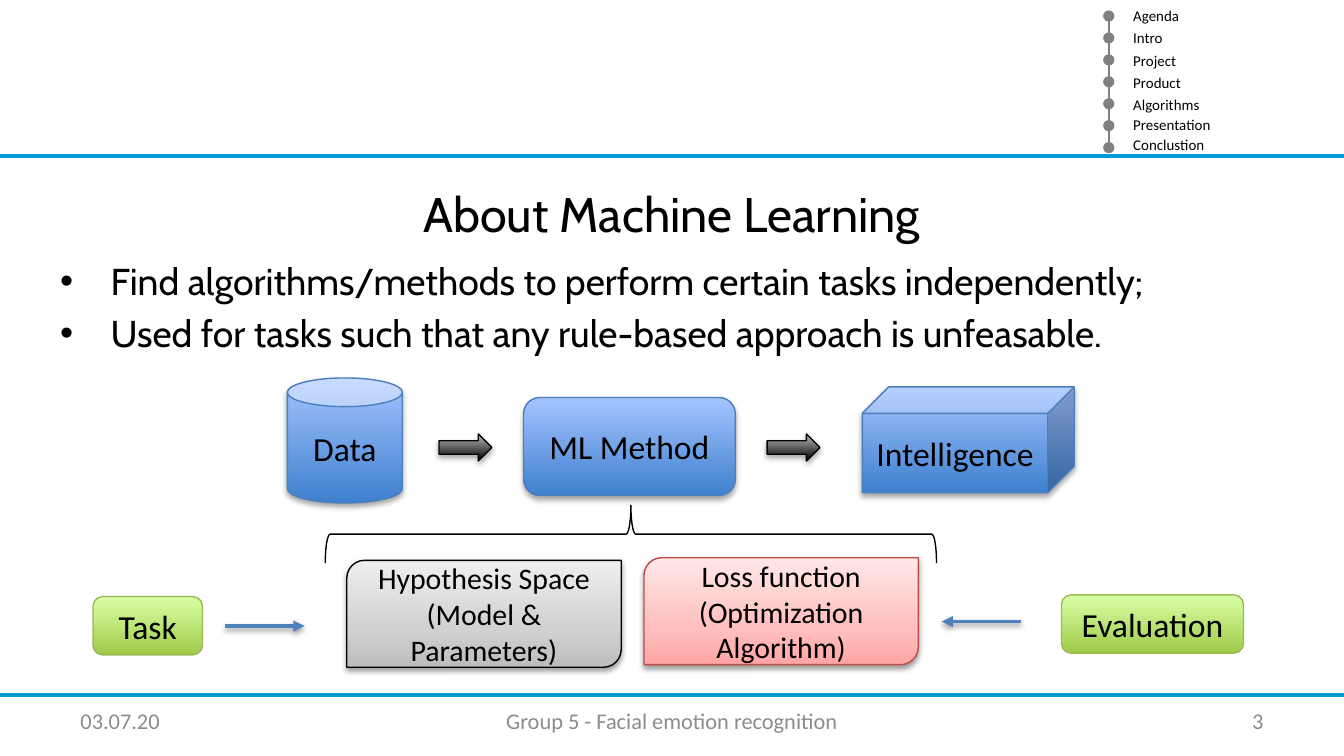
"""Build the slide about machine learning with its process diagram."""
from copy import deepcopy

from lxml.etree import SubElement
from pptx import Presentation
from pptx.dml.color import RGBColor
from pptx.enum.shapes import MSO_CONNECTOR as Connector, MSO_SHAPE as Shape
from pptx.enum.text import MSO_ANCHOR as Anchor, MSO_AUTO_SIZE as AutoSize, PP_ALIGN as Align
from pptx.oxml.ns import qn
from pptx.util import Pt

COLORS = {
    "black": "000000", "gray": "808080", "footer": "8C8C8C", "rule": "009CD1",
    "arrow": "4F81BD", "blue_line": "4B7EBC", "green_line": "98B955", "red_line": "BF4C48",
}
GRADIENTS = {
    "blue": [(0, "3F80CE"), (1, "A4C4FF")],
    "dark": [(0, "000000"), (1, "BDBDBD")],
    "green": [(0, "A0CA4A"), (1, "DAFFA5")],
    "gray": [(0, "BDBDBD"), (0.35, "D1D1D1"), (1, "EEEEEE")],
    "red": [(0, "FFA6A5"), (0.35, "FFC0BF"), (1, "FFE7E7")],
}


def color(name):
    return RGBColor.from_string(COLORS[name])


def write(frame, text, size=18, font="Calibri", ink="black", align=None, anchor=Anchor.MIDDLE):
    frame.word_wrap = True
    frame.auto_size = AutoSize.NONE
    frame.vertical_anchor = anchor
    frame.text = text
    for para in frame.paragraphs:
        para.alignment = align
        for span in para.runs:
            span.font.size = Pt(size)
            span.font.name = font
            span.font.color.rgb = color(ink)


class SlideBuilder:
    def __init__(self, slide):
        self.slide = slide
        self.shapes = slide.shapes

    def placeholder(self, item, place, text, **style):
        item.left, item.top, item.width, item.height = map(Pt, place)
        write(item.text_frame, text, font="Cabin", anchor=Anchor.TOP, **style)

    def label(self, place, text, **style):
        box = self.shapes.add_textbox(*map(Pt, place))
        write(box.text_frame, text, **style)

    def shadow(self, effects, opacity, distance):
        outer = SubElement(effects, qn("a:outerShdw"), blurRad=str(Pt(3.1)),
                           dist=str(Pt(distance)), dir="5400000", rotWithShape="0")
        tone = SubElement(outer, qn("a:srgbClr"), val=COLORS["black"])
        SubElement(tone, qn("a:alpha"), val=str(opacity * 1000))

    def line(self, start, end, ink, width, arrow=False):
        link = self.shapes.add_connector(Connector.STRAIGHT, *map(Pt, start + end))
        link.line.color.rgb = color(ink)
        link.line.width = Pt(width)
        properties = link._element.spPr
        effects = SubElement(properties, qn("a:effectLst"))
        if arrow:
            SubElement(properties.find(qn("a:ln")), qn("a:tailEnd"), type="triangle")
            self.shadow(effects, 38, 1.6)

    def dot(self, left, top, size):
        dot = self.shapes.add_shape(Shape.OVAL, *map(Pt, (left, top, size, size)))
        dot.shadow.inherit = False
        dot.fill.solid()
        dot.fill.fore_color.rgb = color("gray")
        dot.line.fill.background()

    def outline(self, kind, place, ink):
        shape = self.shapes.add_shape(kind, *map(Pt, place))
        shape.shadow.inherit = False
        shape.fill.background()
        shape.line.color.rgb = color(ink)
        shape.line.width = Pt(0.75)
        return shape

    def block(self, kind, place, gradient, ink, text="", size=18, shadow=None):
        shape = self.outline(kind, place, ink)
        shape.fill.gradient()
        shape.fill.gradient_angle = 90
        stops = GRADIENTS[gradient]
        stop_list = shape._element.spPr.find(".//" + qn("a:gsLst"))
        for _ in stops[2:]:
            stop_list.insert(1, deepcopy(stop_list[0]))
        for stop, (position, tone) in zip(shape.fill.gradient_stops, stops):
            stop.position = position
            stop.color.rgb = RGBColor.from_string(tone)
        if shadow:
            self.shadow(shape._element.spPr.find(qn("a:effectLst")), *shadow)
        if text:
            write(shape.text_frame, text, size=size, align=Align.CENTER)


def main():
    deck = Presentation()
    deck.slide_width, deck.slide_height = Pt(720), Pt(405)
    page = SlideBuilder(deck.slides.add_slide(deck.slide_layouts[1]))

    page.line((594, 11.5), (594, 76.5), "gray", 1)
    sections = [("Agenda", 0), ("Intro", 12), ("Project", 24), ("Product", 36),
                ("Algorithms", 47.5), ("Presentation", 58.5), ("Conclustion", 69)]
    for index, (name, top) in enumerate(sections):
        page.dot(591, 5.6 + 11.75 * index, 6)
        page.label((600, top, 93.5, 17), name, size=8, anchor=Anchor.TOP)
    for height in (83.5, 372.5):
        page.line((0, height), (720, height), "rule", 2)

    page.placeholder(page.shapes.title, (24, 95, 672, 39.5), "About Machine Learning",
                     size=26, align=Align.CENTER)
    page.placeholder(
        page.slide.placeholders[1], (25, 134.5, 661, 62.5),
        "Find algorithms/methods to perform certain tasks independently;\n"
        "Used for tasks such that any rule-based approach is unfeasable.", size=20)

    footers = [(36, 168, "03.07.20", Align.LEFT),
               (246, 228, "Group 5 - Facial emotion recognition", Align.CENTER),
               (516, 168, "3", Align.RIGHT)]
    for left, width, text, align in footers:
        page.label((left, 375.3, width, 21.5), text, size=12, ink="footer", align=align)

    soft, strong = (35, 1.8), (38, 1.6)
    steps = [(Shape.CAN, (154, 202.5, 61.5, 67), "Data"),
             (Shape.ROUNDED_RECTANGLE, (280.5, 213, 113.5, 52.5), "ML Method"),
             (Shape.CUBE, (462, 207.3, 113.5, 56.7), "Intelligence")]
    for kind, place, text in steps:
        page.block(kind, place, "blue", "blue_line", text, shadow=soft)
    for left in (235.2, 411):
        page.block(Shape.RIGHT_ARROW, (left, 232.5, 28.3, 14.5), "dark", "black", shadow=soft)

    parts = [(185.8, 300.2, "gray", "black", "Hypothesis Space\n(Model & Parameters)"),
             (345, 298.8, "red", "red_line", "Loss function\n(Optimization Algorithm)")]
    for left, top, gradient, ink, text in parts:
        page.block(Shape.ROUND_2_DIAG_RECTANGLE, (left, top, 147, 57.3), gradient, ink,
                   text, size=16, shadow=strong)
    for left, top, width, text in [(49.8, 319.6, 58.7, "Task"), (568.7, 318.7, 97.5, "Evaluation")]:
        page.block(Shape.ROUNDED_RECTANGLE, (left, top, width, 31.3), "green", "green_line", text)

    brace = page.outline(Shape.RIGHT_BRACE, (322.5, 122.4, 31, 327.5), "black")
    brace.rotation = 270
    page.line((120.5, 335.4), (163.2, 335.4), "arrow", 2, arrow=True)
    page.line((547, 333), (504.5, 333), "arrow", 2, arrow=True)
    deck.save("out.pptx")


if __name__ == "__main__":
    main()
